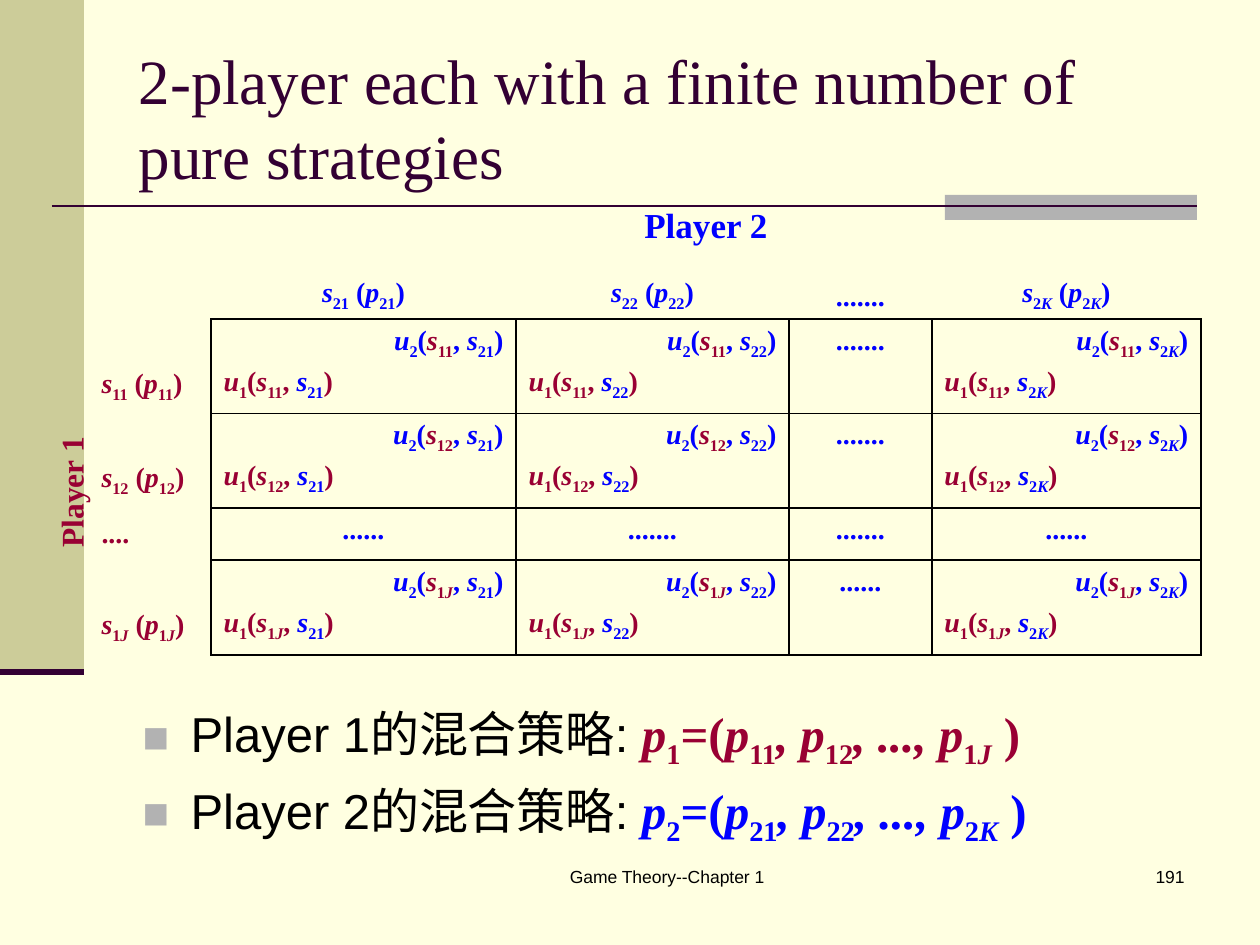
"""Build a slide with the payoff matrix of a two-player game and its mixed strategies."""
import pptx
import pptx.dml.color
import pptx.enum.shapes
import pptx.enum.text
import pptx.oxml
import pptx.oxml.ns
import pptx.util

COLORS = {
    "ground": "FFFFE1", "rail": "CCCC99", "gray": "B2B2B2", "dark": "330033",
    "black": "000000", "one": "990033", "two": "0000FF",
}
ALIGN = pptx.enum.text.PP_ALIGN
ANCHOR = pptx.enum.text.MSO_ANCHOR
NS = pptx.oxml.ns.nsdecls("a")


def rgb(name):
    return pptx.dml.color.RGBColor.from_string(COLORS[name])


def px(n):
    return pptx.util.Emu(round(n * 914400 / 126))


def apply(obj, values):
    for name, value in values.items():
        setattr(obj, name, value)


def run(text, color, italic=False, sub=False, **fmt):
    return text, color, sub, {"italic": italic, **fmt}


def var(letter, index, color):
    runs = [run(letter, color, italic=True)]
    digits = index.rstrip("JK")
    runs.append(run(digits, color, sub=True))
    if digits != index:
        runs.append(run(index[-1], color, italic=True, sub=True))
    return runs


def strategy(index, color):
    return [*var("s", index, color), run(" (", color),
            *var("p", index, color), run(")", color)]


def payoff(player, row, col):
    color = "one" if player == "1" else "two"
    return [*var("u", player, color), run("(", color), *var("s", row, "one"),
            run(", ", color), *var("s", col, "two"), run(")", color)]


def mixed(player, last, color):
    label = run(f"Player {player}的混合策略: ", "black", name="Arial", bold=False)
    return [label, *var("p", player, color), run("=(", color),
            *var("p", player + "1", color), run(", ", color, italic=True),
            *var("p", player + "2", color), run(", ..., ", color, italic=True),
            *var("p", player + last, color), run(" )", color)]


class Deck:
    """Holds the text style and the current slide."""

    def __init__(self):
        self.prs = pptx.Presentation()
        apply(self.prs, {"slide_width": px(1260), "slide_height": px(945)})
        self.s = self.prs.slides.add_slide(self.prs.slide_layouts[1])
        self.s.background.fill.solid()
        self.s.background.fill.fore_color.rgb = rgb("ground")
        self.style = {"name": "Times New Roman", "bold": True}

    def paragraphs(self, tf, paragraphs, size, bullet=None, **style):
        for i, (align, runs) in enumerate(paragraphs):
            p = tf.paragraphs[0] if i == 0 else tf.add_paragraph()
            if bullet:
                self.bullet(p, bullet)
            apply(p, {"alignment": align,
                      "space_before": pptx.util.Pt(size / 5 if i else 0)})
            for text, color, sub, fmt in runs:
                r = p.add_run()
                r.text = text
                apply(r.font, {"size": pptx.util.Pt(size), **self.style, **style, **fmt})
                r.font.color.rgb = rgb(color)
                if sub:
                    r.font._element.set("baseline", "-25000")

    def bullet(self, p, char):
        pPr = p._p.get_or_add_pPr()
        pPr.set("marL", str(px(48)))
        pPr.set("indent", str(-px(48)))
        for xml in (f'<a:buClr {NS}><a:srgbClr val="{COLORS["gray"]}"/></a:buClr>',
                    f'<a:buSzPct {NS} val="90000"/>',
                    f'<a:buFont {NS} typeface="Arial"/>',
                    f'<a:buChar {NS} char="{char}"/>'):
            pPr.append(pptx.oxml.parse_xml(xml))

    def rect(self, box, color):
        sp = self.s.shapes.add_shape(
            pptx.enum.shapes.MSO_SHAPE.RECTANGLE, *map(px, box))
        sp.shadow.inherit = False
        sp.fill.solid()
        sp.fill.fore_color.rgb = rgb(color)
        sp.line.fill.background()

    def line(self, ends, color, width):
        sp = self.s.shapes.add_connector(
            pptx.enum.shapes.MSO_CONNECTOR.STRAIGHT, *map(px, ends))
        sp.line.color.rgb = rgb(color)
        sp.line.width = pptx.util.Pt(width)
        sp._element.spPr.append(pptx.oxml.parse_xml(f"<a:effectLst {NS}/>"))

    def placeholder(self, index, box, paragraphs, size, anchor, **style):
        sp = self.s.placeholders[index]
        apply(sp, dict(zip(("left", "top", "width", "height"), map(px, box))))
        apply(sp.text_frame, {"word_wrap": True, "vertical_anchor": anchor,
                              "auto_size": pptx.enum.text.MSO_AUTO_SIZE.NONE})
        self.paragraphs(sp.text_frame, paragraphs, size, **style)

    def text(self, box, paragraphs, size, rotation=0, **style):
        sp = self.s.shapes.add_textbox(*map(px, box))
        sp.rotation = rotation
        sp.text_frame.word_wrap = True
        self.paragraphs(sp.text_frame, paragraphs, size, **style)

    def table(self, left, top, cols, rows):
        tb = self.s.shapes.add_table(len(rows), len(cols), px(left), px(top),
                                     px(sum(cols)), px(sum(rows))).table
        apply(tb, {"first_row": False, "horz_banding": False})
        for col, width in zip(tb.columns, cols):
            col.width = px(width)
        for row, height in zip(tb.rows, rows):
            row.height = px(height)
        return tb

    def borders(self, cell, sides):
        tcPr = cell._tc.get_or_add_tcPr()
        for side in "LRTB":
            fill = (f'<a:solidFill><a:srgbClr val="{COLORS["black"]}"/></a:solidFill>'
                    if side in sides else "<a:noFill/>")
            tcPr.append(pptx.oxml.parse_xml(f'<a:ln{side} {NS} w="12700">{fill}</a:ln{side}>'))
        cell.fill.background()

    def cell(self, cell, paragraphs, anchor, size=16):
        cell.vertical_anchor = anchor
        self.paragraphs(cell.text_frame, paragraphs, size)


def fill_matrix(deck, tb):
    cols, rows = ("21", "22", None, "2K"), ("11", "12", None, "1J")
    dots = {(0, 2): 7, (1, 2): 7, (2, 0): 6, (2, 1): 7, (2, 2): 7, (2, 3): 6, (3, 2): 6}
    for r in range(6):
        for c in range(6):
            sides = ("LRTB" if r > 1 and c > 1 else "R" if r > 1 and c == 1
                     else "B" if r == 1 and c > 1 else "")
            deck.borders(tb.cell(r, c), sides)
    tb.cell(0, 2).merge(tb.cell(0, 5))
    tb.cell(2, 0).merge(tb.cell(5, 0))
    deck.cell(tb.cell(0, 2), [(ALIGN.CENTER, [run("Player 2", "two")])], ANCHOR.BOTTOM, 20)
    for j, col in enumerate(cols):
        runs = strategy(col, "two") if col else [run("." * 7, "two")]
        deck.cell(tb.cell(1, j + 2), [(ALIGN.CENTER, runs)], ANCHOR.BOTTOM)
    for i, row in enumerate(rows):
        head = tb.cell(i + 2, 1)
        runs = strategy(row, "one") if row else [run("....", "one")]
        deck.cell(head, [(ALIGN.LEFT, runs)], ANCHOR.BOTTOM if row else ANCHOR.MIDDLE)
        if row:
            head.margin_bottom = px(10)
        for j, col in enumerate(cols):
            if row and col:
                paragraphs = [(ALIGN.RIGHT, payoff("2", row, col)),
                              (ALIGN.LEFT, payoff("1", row, col))]
            else:
                paragraphs = [(ALIGN.CENTER, [run("." * dots[i, j], "two")])]
            deck.cell(tb.cell(i + 2, j + 2), paragraphs, ANCHOR.TOP)


def main():
    deck = Deck()
    deck.rect((0, 0, 84, 672), "rail")
    deck.rect((945, 195, 252, 25), "gray")
    deck.line((52, 206, 1197, 206), "dark", 1.5)
    deck.line((0, 672, 84, 672), "dark", 3.5)
    for box, align, text in (((462, 860, 410, 63), ALIGN.CENTER, "Game Theory--Chapter 1"),
                             ((935, 860, 262, 63), ALIGN.RIGHT, "191")):
        deck.text(box, [(align, [run(text, "black")])], 10, name="Arial", bold=False)
    title = run("2-player each with a finite number of pure strategies", "dark")
    deck.placeholder(0, (126, 38, 1071, 158), [(ALIGN.LEFT, [title])], 36,
                     ANCHOR.MIDDLE, bold=False)
    deck.placeholder(1, (130, 697, 1071, 156),
                     [(ALIGN.LEFT, mixed("1", "J", "one")),
                      (ALIGN.LEFT, mixed("2", "K", "two"))],
                     28, ANCHOR.TOP, bullet="■")
    fill_matrix(deck, deck.table(58, 185, (31, 122, 305, 273, 143, 269),
                                 (67, 67, 90, 90, 52, 90)))
    deck.text((-5, 459, 152, 50), [(ALIGN.LEFT, [run("Player 1", "one")])], 18, rotation=270)
    deck.prs.save("out.pptx")


if __name__ == "__main__":
    main()
